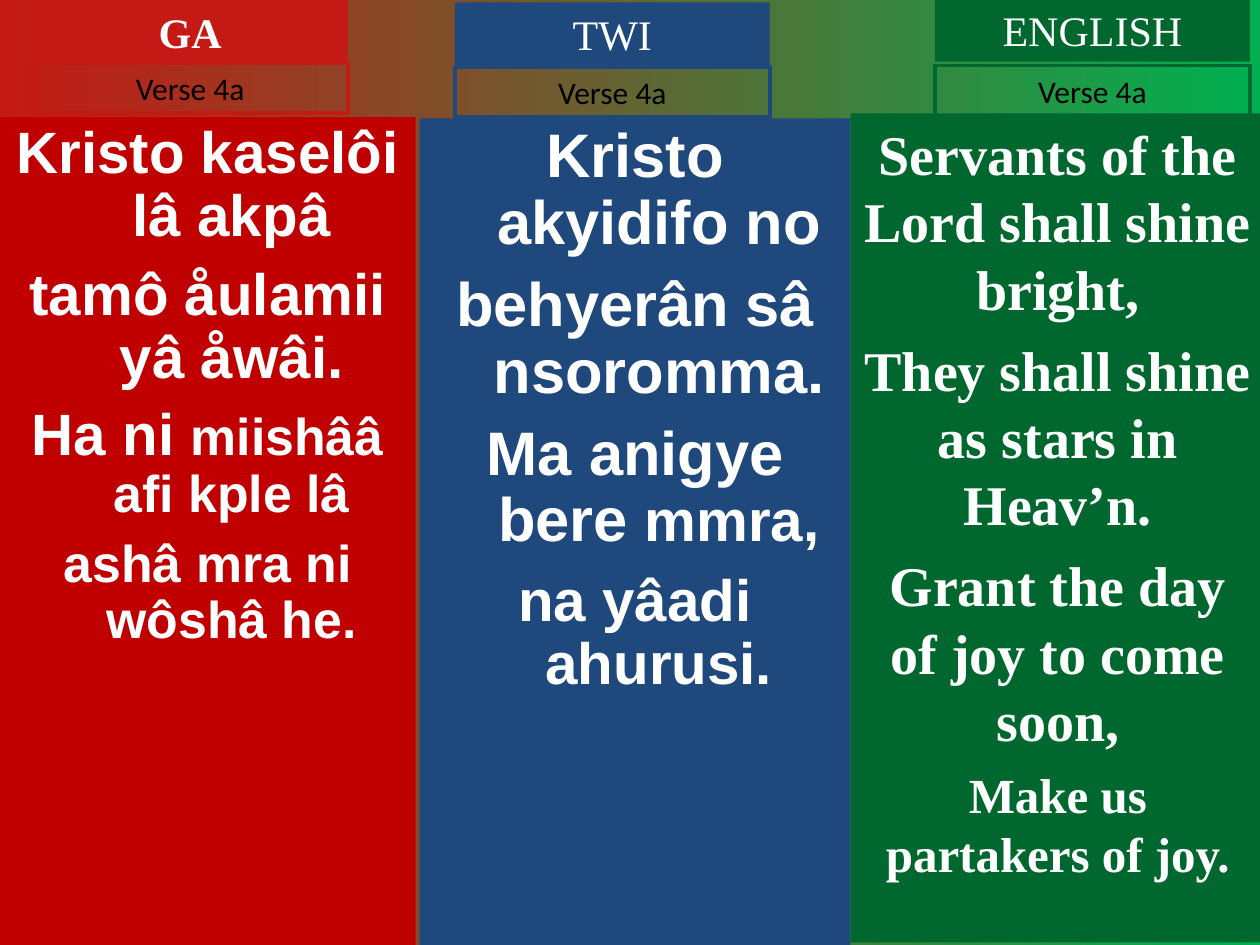
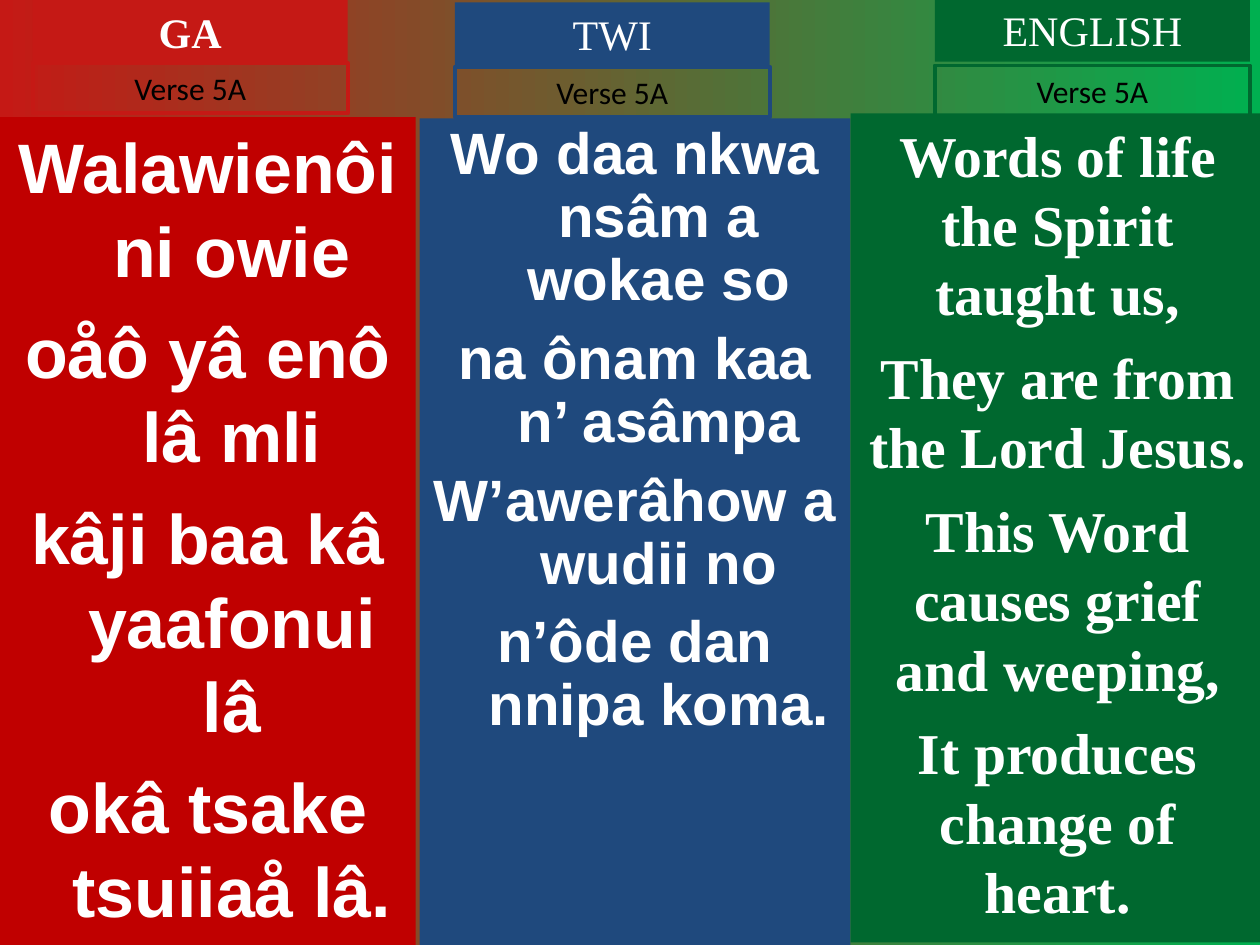
import pptx
import pptx.dml.color
import pptx.enum.shapes
import pptx.enum.text
import pptx.util

# Shared style: 100 px to the inch
PX = 9144
WIDTH, HEIGHT = 1000, 750
RED, GREEN = "C51915", "00B050"
WHITE, BLACK = "FFFFFF", "000000"
SERIF, SANS, LABEL = "Times New Roman", "Arial", "Calibri"
HANGING = 38

# Per language: body box, body fill, body font, hanging indent,
# title box corner, title fill, title weight, top of the verse label
LANGUAGES = {
    "GA": ((0, 93, 330, 657), "C00000", SANS, HANGING, (26, 0), RED, True, 50),
    "TWI": ((333, 94, 342, 656), "1F497D", SANS, HANGING, (361, 2), "1F497D", False, 53),
    "ENGLISH": ((675, 90, 329, 658), "00682F", SERIF, 0, (742, -1), "00682F", False, 52),
}

# Per verse and language: line spacing, then lines made of (text, size) runs
VERSES = {
    "Verse 4a": {
        "GA": (0.9, [
            [("Kristo kaselôi lâ akpâ", 33.3)],
            [("tamô åulamii yâ åwâi.", 33.3)],
            [("Ha ni ", 33.3), ("miishââ afi kple lâ", 29.6)],
            [("ashâ mra ni wôshâ he.", 29.6)],
        ]),
        "TWI": (0.9, [
            [("Kristo akyidifo no", 35.1)],
            [("behyerân sâ nsoromma.", 35.1)],
            [("Ma anigye bere ", 35.1), ("mmra,", 33.3)],
            [("na yâadi ahurusi.", 33.3)],
        ]),
        "ENGLISH": (1.0, [
            [("Servants of the Lord shall shine bright,", 32)],
            [("They shall shine as stars in Heav’n.", 32)],
            [("Grant the day of joy to come soon,", 32)],
            [("Make us partakers of joy.", 28)],
        ]),
    },
    "Verse 5A": {
        "GA": (1.0, [
            [("Walawienôi ni owie", 40)],
            [("oåô yâ enô lâ mli", 40)],
            [("kâji baa kâ yaafonui lâ", 40)],
            [("okâ tsake tsuiiaå lâ.", 40)],
        ]),
        "TWI": (0.9, [
            [("Wo daa nkwa nsâm a wokae so", 33.3)],
            [("na ônam kaa n’ asâmpa", 33.3)],
            [("W’awerâhow a wudii no", 33.3)],
            [("n’ôde dan nnipa koma.", 33.3)],
        ]),
        "ENGLISH": (1.0, [
            [("Words of life the Spirit taught us,", 33)],
            [("They are from the Lord Jesus.", 33)],
            [("This Word causes grief and weeping,", 33)],
            [("It produces change of heart.", 33)],
        ]),
    },
}


def rgb(value):
    return pptx.dml.color.RGBColor.from_string(value)


class Hymn:
    def __init__(self):
        self.deck = pptx.Presentation()
        self.deck.slide_width = WIDTH * PX
        self.deck.slide_height = HEIGHT * PX
        self.slide = None

    def new_slide(self):
        self.slide = self.deck.slides.add_slide(self.deck.slide_layouts[6])
        backdrop = self.slide.background.fill
        backdrop.gradient()
        backdrop.gradient_angle = 0
        for stop, color, position in zip(backdrop.gradient_stops, (RED, GREEN), (0, 1)):
            stop.color.rgb = rgb(color)
            stop.position = position

    def box(self, place, fill=None, line=None, grow=False):
        """Draw a rectangle and return its empty text frame."""
        rectangle = self.slide.shapes.add_shape(
            pptx.enum.shapes.MSO_SHAPE.RECTANGLE, *(length * PX for length in place))
        rectangle.shadow.inherit = False
        if fill:
            rectangle.fill.solid()
            rectangle.fill.fore_color.rgb = rgb(fill)
        else:
            rectangle.fill.background()
        if line:
            rectangle.line.color.rgb = rgb(line)
            rectangle.line.width = pptx.util.Pt(2.25)
        else:
            rectangle.line.fill.background()
        frame = rectangle.text_frame
        frame.word_wrap = True
        frame.vertical_anchor = pptx.enum.text.MSO_ANCHOR.TOP
        fit = pptx.enum.text.MSO_AUTO_SIZE
        frame.auto_size = fit.SHAPE_TO_FIT_TEXT if grow else fit.NONE
        return frame

    def add_runs(self, paragraph, runs, font, color, bold):
        paragraph.alignment = pptx.enum.text.PP_ALIGN.CENTER
        for text, size in runs:
            run = paragraph.add_run()
            run.text = text
            run.font.size = pptx.util.Pt(size)
            run.font.name = font
            run.font.bold = bold
            run.font.color.rgb = rgb(color)

    def heading(self, title, corner, color, bold):
        frame = self.box((*corner, 250, 50), fill=color, grow=True)
        self.add_runs(frame.paragraphs[0], [(title, 24)], SERIF, WHITE, bold)

    def verse_label(self, label, left, top, color):
        frame = self.box((left, top, 250, 40), line=color, grow=True)
        self.add_runs(frame.paragraphs[0], [(label, 18)], LABEL, BLACK, False)

    def lyrics(self, place, fill, font, indent, spacing, lines):
        frame = self.box(place, fill=fill)
        gap = 0.27 if spacing < 1 else 0.25
        for index, runs in enumerate(lines):
            paragraph = frame.add_paragraph() if index else frame.paragraphs[0]
            if indent:
                properties = paragraph._p.get_or_add_pPr()
                properties.set("marL", str(indent * PX))
                properties.set("indent", str(-indent * PX))
            paragraph.line_spacing = spacing
            if index:
                paragraph.space_before = pptx.util.Pt(round(gap * runs[-1][1], 1))
            self.add_runs(paragraph, runs, font, WHITE, True)


def main():
    hymn = Hymn()
    for label, columns in VERSES.items():
        hymn.new_slide()
        for language, (spacing, lines) in columns.items():
            place, fill, font, indent, corner, color, bold, label_top = LANGUAGES[language]
            hymn.lyrics(place, fill, font, indent, spacing, lines)
            hymn.heading(language, corner, color, bold)
            hymn.verse_label(label, corner[0], label_top, color)
    hymn.deck.save("out.pptx")


if __name__ == "__main__":
    main()
